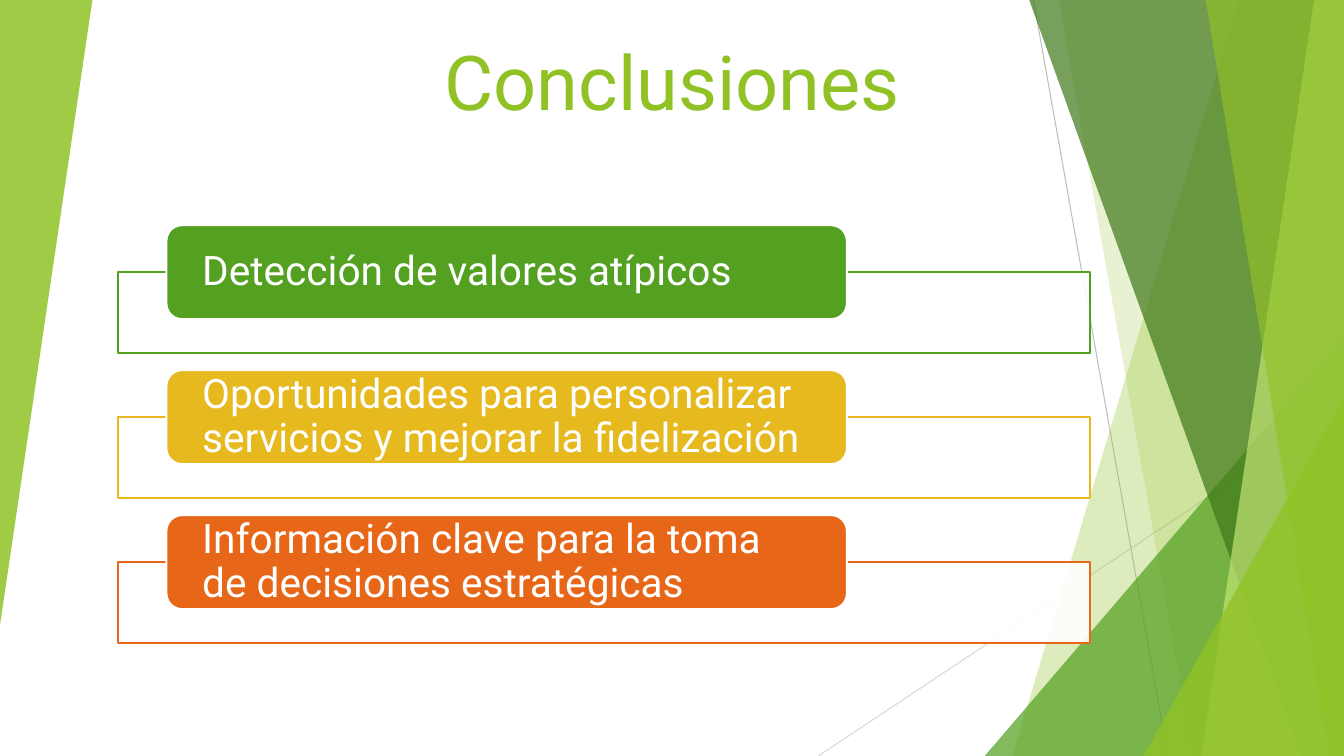
from pptx import Presentation
from pptx.dml.color import RGBColor
from pptx.enum.shapes import MSO_CONNECTOR, MSO_SHAPE
from pptx.enum.text import MSO_ANCHOR, MSO_AUTO_SIZE, PP_ALIGN
from pptx.oxml.ns import qn
from pptx.util import Inches, Pt
from lxml import etree

COLORS = {
    "lime": "90C226", "green": "54A021", "forest": "3F7819", "pale": "C0E474",
    "gold": "E6B91E", "orange": "E76618", "white": "FFFFFF",
    "gray": "BFBFBF", "silver": "D9D9D9",
}
COLS, ROWS = 80, 45
FONT = "Roboto"

prs = Presentation()
prs.slide_width, prs.slide_height = Inches(13.33), Inches(7.5)
CELL = prs.slide_height / ROWS


def grid(*cells):
    return [round(c * CELL) for c in cells]


def paint(sp, color, opacity=100, line=None):
    sp.shadow.inherit = False
    sp.fill.solid()
    sp.fill.fore_color.rgb = RGBColor.from_string(COLORS[color])
    if opacity < 100:
        clr = sp.fill._xPr.find(qn("a:solidFill"))[0]
        etree.SubElement(clr, qn("a:alpha")).set("val", str(opacity * 1000))
    if line:
        sp.line.color.rgb = RGBColor.from_string(COLORS[line])
        sp.line.width = Pt(1.5)
    else:
        sp.line.fill.background()


s = prs.slides.add_slide(prs.slide_layouts[5])

rays = [(61.5, 0, 69.5, ROWS, "gray"), (COLS, 24.2, 48.7, ROWS, "silver")]
for x1, y1, x2, y2, color in rays:
    ray = s.shapes.add_connector(MSO_CONNECTOR.STRAIGHT, *grid(x1, y1, x2, y2))
    ray.line.color.rgb = RGBColor.from_string(COLORS[color])
    ray.line.width = Pt(0.75)
    etree.SubElement(ray._element.spPr, qn("a:effectLst"))

facets = [
    ("band", 73.7, 60.25, "lime", 30),
    ("band", 63, 71, "lime", 20),
    ("triangle", 58.6, 20, "green", 72),
    ("band", 61.25, 77.45, "forest", 70),
    ("band", 78.2, 71.5, "pale", 70),
    ("band", 71.75, 79.1, "lime", 65),
    ("triangle", 68.05, 23.6, "lime", 80),
]
for kind, a, b, color, opacity in facets:
    if kind == "band":
        fb = s.shapes.build_freeform(*grid(a, 0))
        corners = [(COLS, 0), (COLS, ROWS), (b, ROWS)]
        fb.add_line_segments([grid(*c) for c in corners], close=True)
        sp = fb.convert_to_shape()
    else:
        sp = s.shapes.add_shape(MSO_SHAPE.ISOSCELES_TRIANGLE,
                                *grid(a, b, COLS - a, ROWS - b))
        sp.adjustments[0] = 1
    paint(sp, color, opacity)

wedge = s.shapes.add_shape(MSO_SHAPE.ISOSCELES_TRIANGLE, *grid(0, 0, 5.5, 37.2))
wedge.adjustments[0] = 1
wedge.rotation = 180
paint(wedge, "lime", 85)

title = s.shapes.title
title.left, title.top, title.width, title.height = grid(10, 1.8, 60, 6)
tf = title.text_frame
tf.text = "Conclusiones"
tf.auto_size = MSO_AUTO_SIZE.NONE
tf.vertical_anchor = MSO_ANCHOR.BOTTOM
p = tf.paragraphs[0]
p.alignment = PP_ALIGN.CENTER
r = p.runs[0]
r.font.name, r.font.size = FONT, Pt(54)
r.font.color.rgb = RGBColor.from_string(COLORS["lime"])

conclusions = [
    ("Detección de valores atípicos", "green"),
    ("Oportunidades para personalizar servicios y mejorar la fidelización", "gold"),
    ("Información clave para la toma de decisiones estratégicas", "orange"),
]
for i, (text, color) in enumerate(conclusions):
    top = 13.4 + i * 8.63
    frame = s.shapes.add_shape(MSO_SHAPE.RECTANGLE, *grid(7, top + 2.8, 57.85, 4.8))
    paint(frame, "white", 90, line=color)

    label = s.shapes.add_shape(MSO_SHAPE.ROUNDED_RECTANGLE, *grid(9.9, top, 40.5, 5.6))
    paint(label, color, line="white")
    tf = label.text_frame
    tf.word_wrap = True
    tf.vertical_anchor = MSO_ANCHOR.MIDDLE
    tf.margin_left = tf.margin_right = Inches(0.31)
    tf.margin_top = tf.margin_bottom = 0
    tf.text = text
    p = tf.paragraphs[0]
    p.alignment = PP_ALIGN.LEFT
    p.line_spacing = 0.9
    r = p.runs[0]
    r.font.name, r.font.size = FONT, Pt(29)
    r.font.color.rgb = RGBColor.from_string(COLORS["white"])

prs.save("out.pptx")
